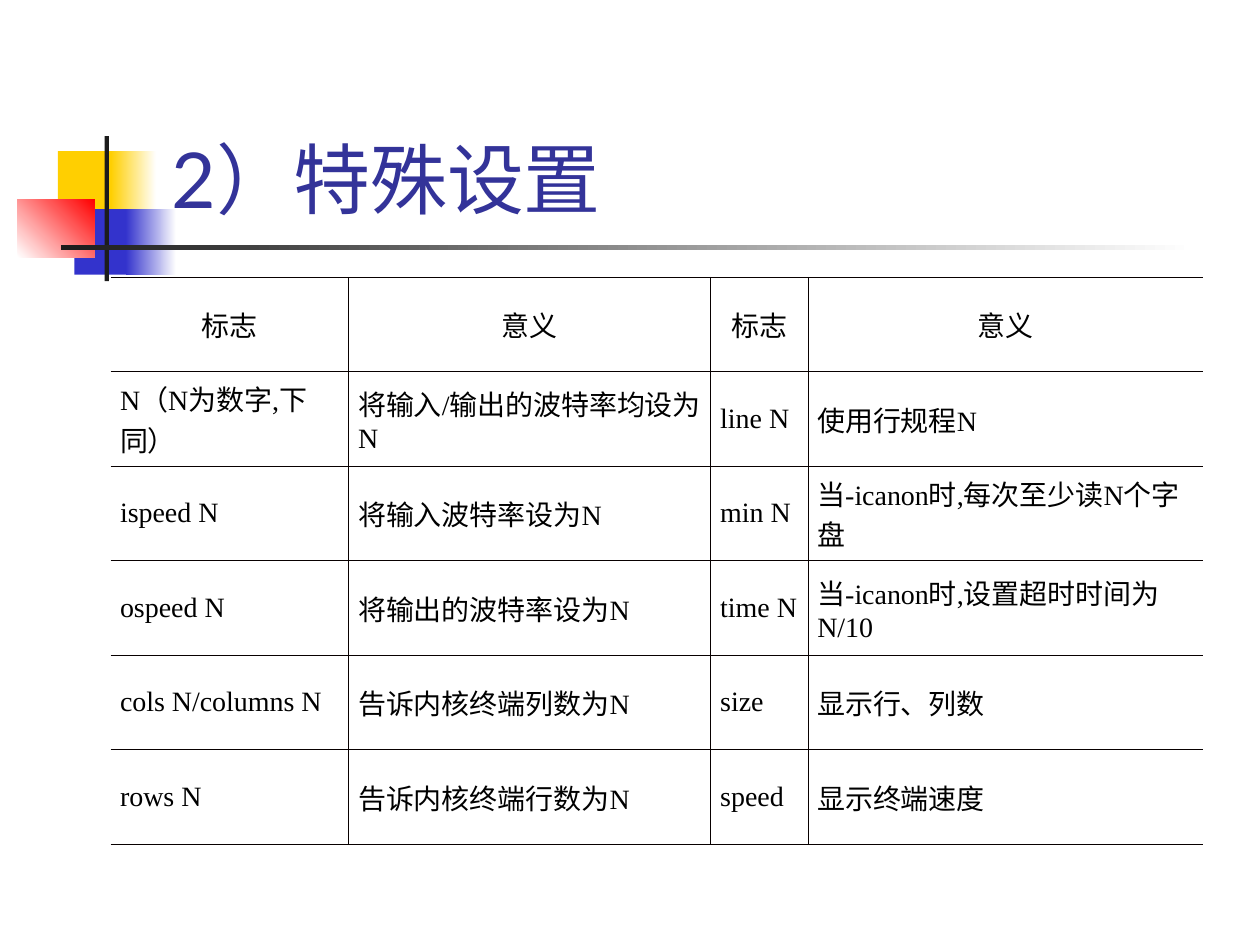
from lxml.etree import fromstring
from pptx import Presentation
from pptx.dml.color import RGBColor
from pptx.enum.shapes import MSO_SHAPE
from pptx.enum.text import MSO_ANCHOR, MSO_AUTO_SIZE, PP_ALIGN
from pptx.util import Pt

NAMESPACE = "http://schemas.openxmlformats.org/drawingml/2006/main"
BORDER = "080000"


def color(value):
    return RGBColor.from_string(value)


def cell_border(side, visible):
    paint = f'<a:solidFill><a:srgbClr val="{BORDER}"/></a:solidFill>' if visible else "<a:noFill/>"
    return fromstring(f'<a:ln{side} xmlns:a="{NAMESPACE}" w="{Pt(0.45)}">{paint}</a:ln{side}>')


deck = Presentation()
deck.slide_width, deck.slide_height = Pt(720), Pt(540)
page = deck.slides.add_slide(deck.slide_layouts[5])

# Corner ornament: left, top, width, height, colours, gradient angle
ornament = [
    (33.1, 86.4, 34.6, 37.4, ["FFCF01"], 0),
    (63.4, 86.4, 25.9, 37.4, ["FFCF01", "FFFFFF"], 0),
    (42.5, 119.5, 33.1, 37.4, ["3333CC"], 0),
    (72, 119.5, 28.8, 37.4, ["3333CC", "FFFFFF"], 0),
    (10.1, 113.8, 43.9, 33.1, ["FFFFFF", "FF0000"], 45),
    (59.8, 77.8, 2.5, 82.8, ["1C1C1C"], 0),
    (34.6, 140.2, 648, 2.5, ["1C1C1C", "FFFFFF"], 0),
]
for left, top, width, height, colors, angle in ornament:
    block = page.shapes.add_shape(MSO_SHAPE.RECTANGLE, Pt(left), Pt(top), Pt(width), Pt(height))
    block.shadow.inherit = False
    block.line.fill.background()
    if len(colors) == 1:
        block.fill.solid()
        block.fill.fore_color.rgb = color(colors[0])
    else:
        block.fill.gradient()
        block.fill.gradient_angle = angle
        for position, (stop, value) in enumerate(zip(block.fill.gradient_stops, colors)):
            stop.position = position
            stop.color.rgb = color(value)

# Title, in front of the ornament
title = page.shapes.title
page.shapes.element.append(title.element)
title.left, title.top, title.width, title.height = Pt(90.7), Pt(16.6), Pt(613.4), Pt(115.2)
title.text_frame.auto_size = MSO_AUTO_SIZE.NONE
title.text_frame.word_wrap = True
title.text_frame.vertical_anchor = MSO_ANCHOR.BOTTOM
para = title.text_frame.paragraphs[0]
para.alignment = PP_ALIGN.LEFT
span = para.add_run()
span.text = "2）特殊设置"
span.font.name = "Lato"
span.font.size = Pt(44)
span.font.color.rgb = color("333399")

# Table of settings
rows = [
    ["标志", "意义", "标志", "意义"],
    ["N（N为数字,下同）", "将输入/输出的波特率均设为N", "line N", "使用行规程N"],
    ["ispeed N", "将输入波特率设为N", "min N", "当-icanon时,每次至少读N个字盘"],
    ["ospeed N", "将输出的波特率设为N", "time N", "当-icanon时,设置超时时间为N/10"],
    ["cols N/columns N", "告诉内核终端列数为N", "size", "显示行、列数"],
    ["rows N", "告诉内核终端行数为N", "speed", "显示终端速度"],
]
widths = [136.1, 206.9, 55.5, 225.5]
row_height = 54
frame = page.shapes.add_table(len(rows), len(widths), Pt(63.2), Pt(158.4),
                              Pt(sum(widths)), Pt(row_height * len(rows)))
table = frame.table
table.first_row = False
table.horz_banding = False
for column, width in zip(table.columns, widths):
    column.width = Pt(width)

for row_number, texts in enumerate(rows):
    table.rows[row_number].height = Pt(row_height)
    for column_number, text in enumerate(texts):
        cell = table.cell(row_number, column_number)
        cell.vertical_anchor = MSO_ANCHOR.MIDDLE
        cell.margin_left = cell.margin_right = Pt(5.4)
        cell.margin_top = cell.margin_bottom = Pt(3.6)
        cell.fill.background()
        para = cell.text_frame.paragraphs[0]
        para.alignment = PP_ALIGN.CENTER if row_number == 0 else PP_ALIGN.LEFT
        span = para.add_run()
        span.text = text
        span.font.name = "Times New Roman"
        span.font.size = Pt(16)
        span.font.color.rgb = color("000000")

        # Ruled on all sides except the outer left and right
        sides = {"L": column_number > 0, "R": column_number < len(widths) - 1, "T": True, "B": True}
        properties = cell._tc.get_or_add_tcPr()
        for order, (side, visible) in enumerate(sides.items()):
            properties.insert(order, cell_border(side, visible))

deck.save("out.pptx")
